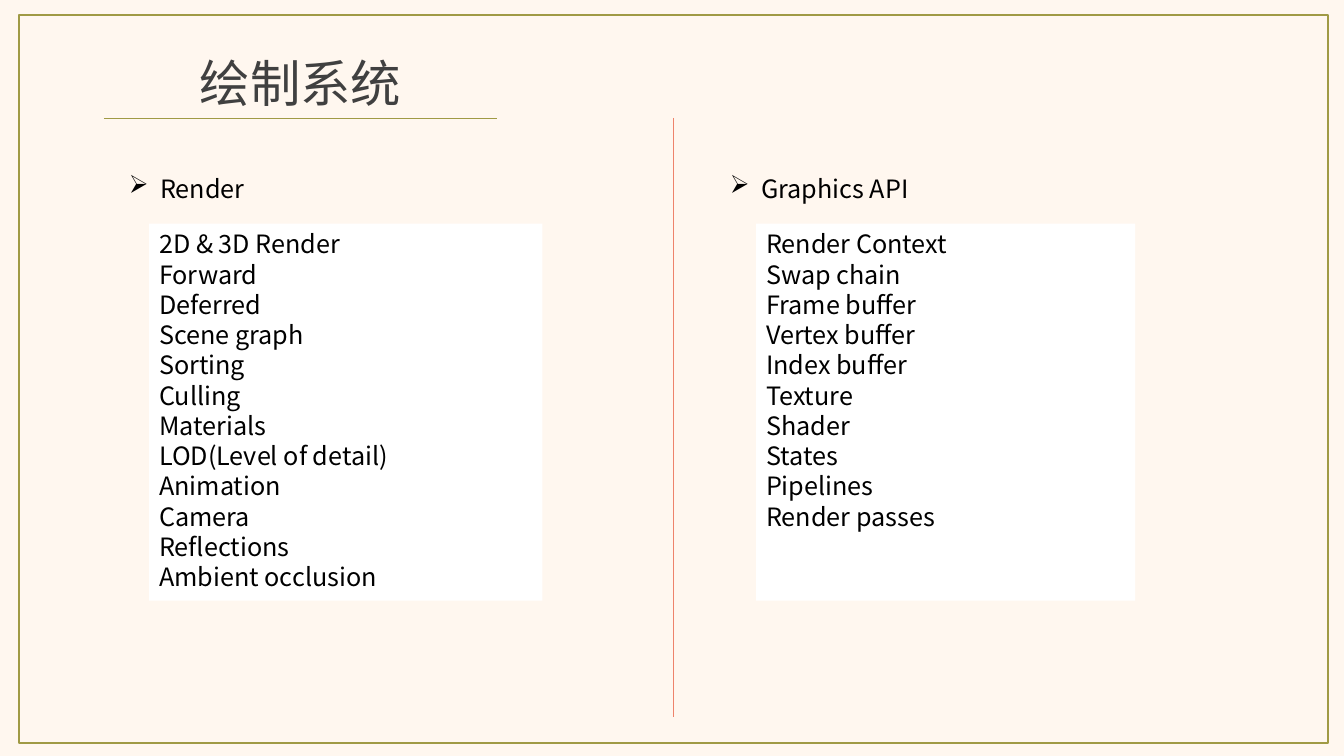
import pptx
import pptx.util
import pptx.dml.color
import pptx.enum.shapes
import pptx.enum.text
import lxml.etree

# Content
TITLE = "绘制系统"
COLUMNS = [
    # heading, heading left and width, panel left and width, items
    ("Render", (1.18, 1.38), (1.48, 3.9),
     ["2D & 3D Render", "Forward", "Deferred", "Scene graph", "Sorting", "Culling",
      "Materials", "LOD(Level of detail)", "Animation", "Camera", "Reflections",
      "Ambient occlusion"]),
    ("Graphics API", (7.14, 2.05), (7.5, 3.76),
     ["Render Context", "Swap chain", "Frame buffer", "Vertex buffer", "Index buffer",
      "Texture", "Shader", "States", "Pipelines", "Render passes"]),
]
COLORS = {"background": "FFF7EF", "olive": "A09A45", "coral": "EE836B",
          "panel": "FFFFFF", "title": "404040", "body": "000000"}
FONT = "Noto Sans CJK SC"

# Layout in inches
WIDTH, HEIGHT = 13.33, 7.5
RULE_Y = 1.17
HEADING_TOP, HEADING_HEIGHT = 1.5, 0.51
PANEL_TOP, PANEL_HEIGHT = 2.22, 3.74
BULLET_INDENT = 0.31

Inches, Pt = pptx.util.Inches, pptx.util.Pt


def rgb(name):
    return pptx.dml.color.RGBColor.from_string(COLORS[name])


def box(*lengths):
    return [Inches(v) for v in lengths]


def write(shape, lines, size, color, pitch, align="LEFT", wrap=True):
    tf = shape.text_frame
    tf.word_wrap = wrap
    tf.auto_size = pptx.enum.text.MSO_AUTO_SIZE.NONE
    tf.vertical_anchor = pptx.enum.text.MSO_ANCHOR.TOP
    tf.text = "\n".join(lines)
    for p in tf.paragraphs:
        p.alignment = pptx.enum.text.PP_ALIGN[align]
        p.line_spacing = Pt(pitch)
        p.space_before = p.space_after = Pt(0)
        p.font.size, p.font.name = Pt(size), FONT
        p.font.color.rgb = rgb(color)
        for r in p.runs:
            ea = lxml.etree.SubElement(r.font._element, pptx.oxml.ns.qn("a:ea"))
            ea.set("typeface", FONT)
    return tf


def add_bullet(p, char):
    pPr = p._p.get_or_add_pPr()
    pPr.set("marL", str(Inches(BULLET_INDENT)))
    pPr.set("indent", str(-Inches(BULLET_INDENT)))
    bullet = lxml.etree.Element(pptx.oxml.ns.qn("a:buChar"), char=char)
    pPr.find(pptx.oxml.ns.qn("a:defRPr")).addprevious(bullet)


def add_rule(s, ends, color):
    rule = s.shapes.add_connector(pptx.enum.shapes.MSO_CONNECTOR.STRAIGHT, *box(*ends))
    rule.line.color.rgb = rgb(color)
    rule.line.width = Pt(0.5)
    lxml.etree.SubElement(rule._element.spPr, pptx.oxml.ns.qn("a:effectLst"))


def add_rect(s, *place):
    sp = s.shapes.add_shape(pptx.enum.shapes.MSO_SHAPE.RECTANGLE, *box(*place))
    sp.shadow.inherit = False
    return sp


def main():
    prs = pptx.Presentation()
    prs.slide_width, prs.slide_height = box(WIDTH, HEIGHT)
    s = prs.slides.add_slide(prs.slide_layouts[5])
    s.background.fill.solid()
    s.background.fill.fore_color.rgb = rgb("background")

    # Title and its rule
    title = s.shapes.title
    title.left, title.top, title.width, title.height = box(1.87, 0.43, 2.22, 0.71)
    write(title, [TITLE], 36, "title", 46, "CENTER", wrap=False)
    add_rule(s, (1.03, RULE_Y, 4.93, RULE_Y), "olive")

    # Frame around the slide
    frame = add_rect(s, 0.19, 0.15, 12.98, 7.22)
    frame.fill.background()
    frame.line.color.rgb = rgb("olive")
    frame.line.width = Pt(1)

    # Two columns and the divider between them
    add_rule(s, (6.68, RULE_Y, 6.68, 7.11), "coral")
    for heading, (head_left, head_width), (left, width), items in COLUMNS:
        panel = add_rect(s, left, PANEL_TOP, width, PANEL_HEIGHT)
        panel.fill.solid()
        panel.fill.fore_color.rgb = rgb("panel")
        panel.line.fill.background()
        write(panel, items, 18, "body", 21.6)
        label = s.shapes.add_textbox(*box(head_left, HEADING_TOP, head_width, HEADING_HEIGHT))
        tf = write(label, [heading], 18, "body", 33.5, wrap=False)
        add_bullet(tf.paragraphs[0], "➢")

    prs.save("out.pptx")


if __name__ == "__main__":
    main()
